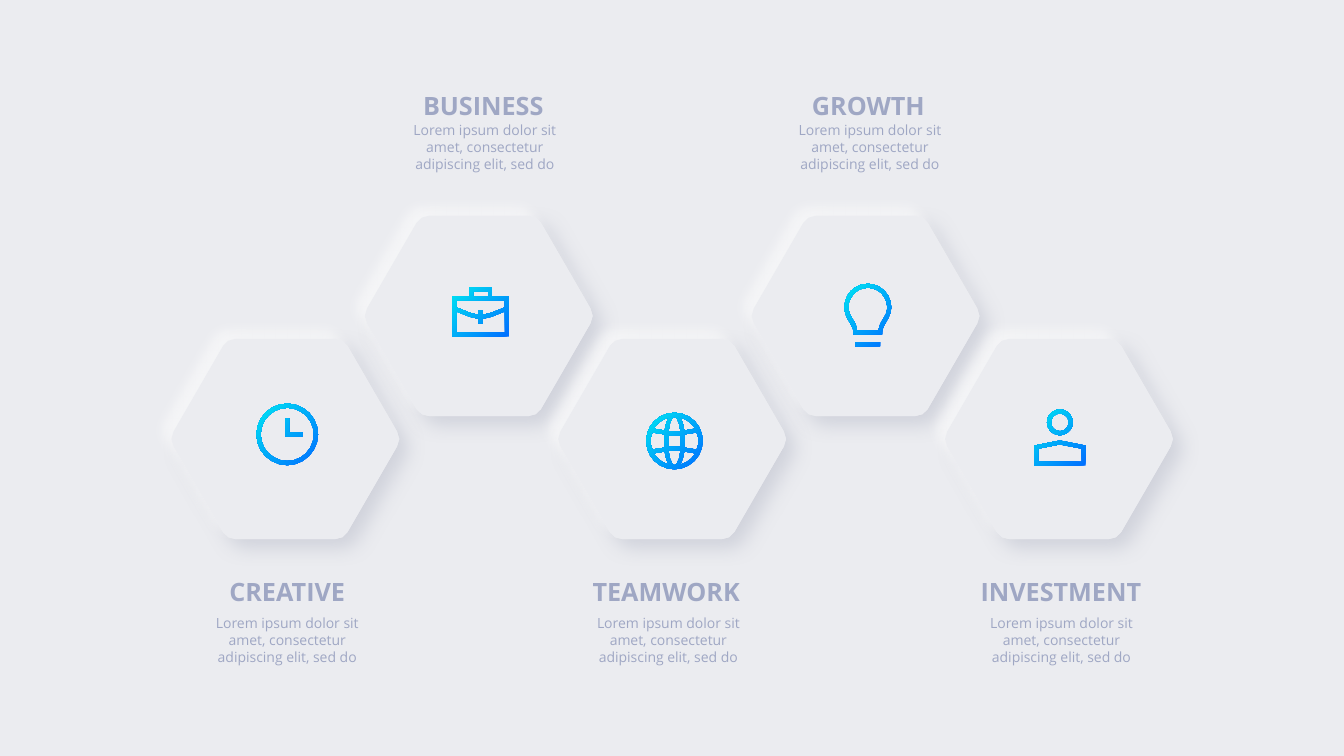
from collections import namedtuple
from math import cos, pi, sin

from lxml.etree import SubElement
from pptx import Presentation
from pptx.dml.color import RGBColor
from pptx.enum.text import MSO_AUTO_SIZE as AutoSize, PP_ALIGN as Align
from pptx.oxml.ns import qn
from pptx.util import Pt

SURFACE, TEXT, BLUE, CYAN = "EBECF0", "9FA7C4", "006EFF", "00E6F2"
DARK_SIDE = dict(color="ACB0C0", alpha=42, blur=14, distance=9, angle=45)
LIGHT_SIDE = dict(color="FFFFFF", alpha=56, blur=9, distance=9, angle=225)
BLURB = "Lorem ipsum dolor sit amet, consectetur adipiscing elit, sed do"


def rgb(value):
    return RGBColor.from_string(value)


def arc(radius, start=0, end=360, steps=24):
    """Points on a circle about the origin, clockwise from the right."""
    angles = [(start + (end - start) * i / steps) * pi / 180 for i in range(steps + 1)]
    return [(round(radius * cos(a), 2), round(radius * sin(a), 2)) for a in angles]


def bezier(p0, p1, p2, p3, steps=3):
    points = []
    for i in range(steps + 1):
        t = i / steps
        weights = ((1 - t) ** 3, 3 * t * (1 - t) ** 2, 3 * t * t * (1 - t), t ** 3)
        points.append(tuple(round(sum(w * p[axis] for w, p in zip(weights, (p0, p1, p2, p3))), 2)
                            for axis in (0, 1)))
    return points


def flip(points, sx=1, sy=1):
    return [(sx * x, sy * y) for x, y in points]


def mirrored(half):
    """Close a right half, given from top to bottom, with its left half."""
    return half + flip(half[::-1], sx=-1)


def distinct(contour):
    """Drop each point that equals the one before it, around the loop."""
    return [point for i, point in enumerate(contour) if point != contour[i - 1]]


HEX_QUARTER = [(35.3, -71.6), (40.7, -70.2), (44.4, -66.6), (79.8, -5.4), (81.4, 0)]
HEXAGON = [mirrored(HEX_QUARTER + flip(HEX_QUARTER[::-1], sy=-1))]


def clock():
    hands = [(10.8, 1.4), (-1.4, 1.4), (-1.4, -11.5), (1.4, -11.5), (1.4, -1.4), (10.8, -1.4)]
    return [arc(22), arc(19), hands]


def briefcase():
    case = [(8, -17.6), (8, -11.2), (20.2, -11.2), (20.2, 17.6)]
    handle = [(5.3, -14.7), (5.3, -11.2)]
    flap = ([(17.3, -8.2), (17.3, -3.2)]
            + bezier((8, 0.5), (6, 1.2), (3.6, 1.7), (1.4, 1.9)) + [(1.4, -1)])
    pocket = ([(1.4, 8.3)] + bezier((1.4, 4.7), (3.8, 4.5), (6.2, 4), (8.5, 3.2))
              + [(17.3, -0.3), (17.3, 14.7)])
    return [mirrored(half) for half in (case, handle, flap, pocket)]


def globe():
    middle = [(4.2, -4), (4.4, 0), (4.2, 4), (-4.2, 4), (-4.4, 0), (-4.2, -4)]
    side = (bezier((15.8, -6.2), (17.7, -2.4), (17.7, 2.4), (15.8, 6.2))
            + [(11.7, 5.4), (7.2, 4.8), (7.4, 0), (7.2, -4.8), (11.7, -5.4)])
    pole = mirrored(bezier((0, -17.3), (1.6, -17.3), (3.6, -13.7), (4.3, -6.9)))
    corner = (arc(17.3, -76, -31, 3)
              + [(11.1, -8.1), (7, -7.6), (5.9, -12.7)])
    return ([arc(20.2), middle, side, flip(side, sx=-1), pole, flip(pole, sy=-1)]
            + [flip(corner, sx, sy) for sx in (1, -1) for sy in (1, -1)])


def bulb():
    glass = (arc(16.7, -90, 0, 6)
             + bezier((16.7, 0), (16.7, 3), (15.8, 5.9), (14.2, 8.6))
             + bezier((14.2, 8.6), (11, 13.7), (10.2, 15.8), (10.2, 18)) + [(10.2, 19.4)])
    hollow = (arc(13.9, -90, 0, 6)
              + bezier((13.9, 0), (13.9, 2.5), (13.2, 5), (11.7, 7.2))
              + bezier((11.7, 7.2), (8.7, 11.5), (7.9, 14.4), (7.7, 16.6)))
    base = [(8.8, 25), (8.8, 28)]
    return [mirrored(half) for half in (glass, hollow, base)]


def person():
    torso = [(0, 13), (18.4, 16.6), (18.4, 31)]
    inside = [(0, 15.8), (15.5, 18.8), (15.5, 28.1)]
    return [mirrored(torso), mirrored(inside), arc(9.2, steps=20), arc(6.3, steps=20)]


class Board:
    def __init__(self, slide, font):
        self.slide, self.font = slide, font
        self.slide.background.fill.solid()
        self.slide.background.fill.fore_color.rgb = rgb(SURFACE)

    def text(self, text, center, top, width, height, size, bold=False, wrap=True, inset=None):
        box = self.slide.shapes.add_textbox(Pt(center - width / 2), Pt(top), Pt(width), Pt(height))
        frame = box.text_frame
        frame.word_wrap, frame.auto_size = wrap, AutoSize.SHAPE_TO_FIT_TEXT
        if inset is not None:
            frame.margin_left = frame.margin_right = Pt(inset)
            frame.margin_top = frame.margin_bottom = Pt(inset)
        paragraph = frame.paragraphs[0]
        paragraph.alignment = Align.CENTER
        run = paragraph.add_run()
        run.text = text
        run.font.name, run.font.size, run.font.bold = self.font, Pt(size), bold
        run.font.color.rgb = rgb(TEXT)

    def outline(self, shapes, contours, x, y):
        """Draw closed contours, given about the origin, around (x, y)."""
        placed = [[(Pt(x + px), Pt(y + py)) for px, py in distinct(contour)]
                  for contour in contours]
        builder = shapes.build_freeform(*placed[0][0])
        for i, contour in enumerate(placed):
            if i:
                builder.move_to(*contour[0])
            builder.add_line_segments(contour[1:], close=True)
        shape = builder.convert_to_shape()
        shape.shadow.inherit = False
        shape.line.fill.background()
        return shape

    def shadow(self, shape, color, alpha, blur, distance, angle):
        effects = shape._element.spPr.find(qn("a:effectLst"))
        outer = SubElement(effects, qn("a:outerShdw"), blurRad=str(Pt(blur)),
                           dist=str(Pt(distance)), dir=str(angle * 60000),
                           algn="ctr", rotWithShape="0")
        tint = SubElement(outer, qn("a:srgbClr"), val=color)
        SubElement(tint, qn("a:alpha"), val=str(alpha * 1000))

    def tile(self, x, y):
        pair = self.slide.shapes.add_group_shape()
        for side in (DARK_SIDE, LIGHT_SIDE):
            hexagon = self.outline(pair.shapes, HEXAGON, x, y)
            hexagon.fill.solid()
            hexagon.fill.fore_color.rgb = rgb(SURFACE)
            self.shadow(hexagon, **side)

    def icon(self, contours, x, y):
        fill = self.outline(self.slide.shapes, contours, x, y).fill
        fill.gradient()
        fill.gradient_angle = 135
        for stop, color, position in zip(fill.gradient_stops, (BLUE, CYAN), (0, 1)):
            stop.color.rgb, stop.position = rgb(color), position


Topic = namedtuple("Topic", "title title_x title_width blurb_x icon icon_x icon_y")
TOPICS = [
    Topic("CREATIVE", 205.2, 83.5, 205.2, clock, 205.2, 310.3),
    Topic("BUSINESS", 345.2, 87.1, 346.3, briefcase, 343.3, 222.8),
    Topic("TEAMWORK", 475.9, 106.6, 477.4, globe, 481.8, 315),
    Topic("GROWTH", 620.3, 81.4, 621.4, bulb, 619.9, 219.4),
    Topic("INVESTMENT", 757.8, 115.9, 758.2, person, 757.1, 301.7),
]
FIRST_X, STEP_X = 203.8, 138.15
LOW_Y, HIGH_Y = 313.6, 225.7


def main():
    deck = Presentation()
    deck.slide_width, deck.slide_height = Pt(960), Pt(540)
    board = Board(deck.slides.add_slide(deck.slide_layouts[6]), "Open Sans")
    for i, topic in enumerate(TOPICS):
        board.text(topic.title, topic.title_x, 64.8 if i % 2 else 411.8,
                   topic.title_width, 21.6, size=18, bold=True, wrap=False, inset=0)
    for i in range(len(TOPICS)):
        board.tile(FIRST_X + i * STEP_X, HIGH_Y if i % 2 else LOW_Y)
    for i, topic in enumerate(TOPICS):
        board.icon(topic.icon(), topic.icon_x, topic.icon_y)
        board.text(BLURB, topic.blurb_x, 83.5 if i % 2 else 435.6, 122.4, 43.9, size=10)
    deck.save("out.pptx")


if __name__ == "__main__":
    main()
